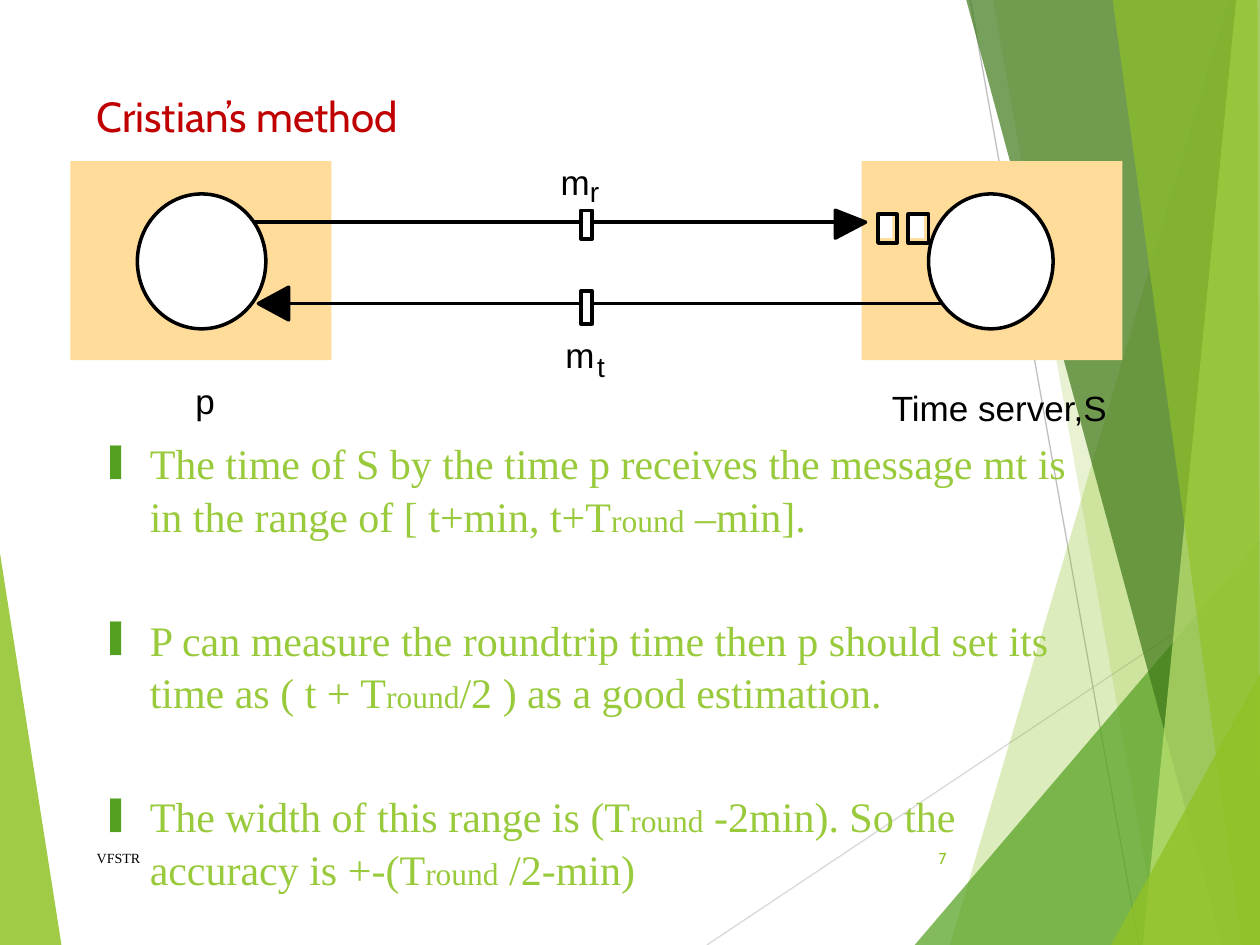
"""Build a slide on Cristian's method of clock synchronisation."""
from lxml.etree import SubElement
from pptx import Presentation
from pptx.dml.color import RGBColor
from pptx.enum.shapes import MSO_CONNECTOR, MSO_SHAPE
from pptx.enum.text import MSO_ANCHOR, PP_ALIGN
from pptx.oxml.ns import qn
from pptx.util import Cm, Pt

RECT, OVAL, LINE = MSO_SHAPE.RECTANGLE, MSO_SHAPE.OVAL, MSO_CONNECTOR.STRAIGHT
TOP, MIDDLE = MSO_ANCHOR.TOP, MSO_ANCHOR.MIDDLE
LEFT, RIGHT = PP_ALIGN.LEFT, PP_ALIGN.RIGHT

WIDE, HIGH = 25.4, 19.05
THEME = {
    "lime": "90C226", "green": "54A021", "dark": "3F7819", "pale": "C0E474",
    "ray": "D9D9D9", "beam": "BFBFBF", "sand": "FFDC99", "white": "FFFFFF",
    "ink": "000000", "red": "C00000", "text": "99CA3C",
    "head": ("Cabin", 24), "body": ("Times New Roman", 24),
    "foot": ("Times New Roman", 8), "page": ("Cabin", 9),
    "label": ("Arial", 20), "index": ("Arial", 16),
    "small": 18, "thin": 0.75, "thick": 2,
}

EDGE = [(WIDE, HIGH), (WIDE, 0)]
WEDGE = ("lime", 85, [(0, 11.15), (1.24, HIGH), (0, HIGH)])
RAYS = [
    ("ray", (14.25, HIGH), (WIDE, 11.61)),
    ("beam", (19.56, 0), (22.96, HIGH)),
]
FACETS = [
    ("lime", 30, [(24.77, 0), (19.15, HIGH), *EDGE]),
    ("lime", 20, [(20.02, 0), (23.37, HIGH), *EDGE]),
    ("green", 72, [(18.44, HIGH), (WIDE, 10.9), (WIDE, HIGH)]),
    ("dark", 70, [(19.48, 0), (24.64, HIGH), *EDGE]),
    ("pale", 70, [(24.92, 0), (23.04, HIGH), *EDGE]),
    ("lime", 65, [(22.43, 0), (25.04, HIGH), (WIDE, HIGH), (25.35, 0)]),
    ("lime", 80, [(22.4, HIGH), (WIDE, 13.59), (WIDE, HIGH)]),
]

HOSTS = [(1.42, 3.25, 5.26, 4.01), (17.37, 3.25, 5.26, 4.01)]
CLIENT = (2.77, 3.91, 2.59, 2.72)
SERVER = (18.72, 3.91, 2.51, 2.72)
ARROWS = [
    ((5.11, 4.48), (16.84, 4.48), [(17.45, 4.48), (16.84, 4.8), (16.84, 4.24)]),
    ((19.25, 6.12), (5.82, 6.12), [(5.21, 6.12), (5.82, 5.79), (5.82, 6.45)]),
]
QUEUE = [(17.7, 4.32, 0.38, 0.58), (18.31, 4.32, 0.41, 0.58)]
PACKETS = [(11.71, 4.24, 0.23, 0.58), (11.71, 5.87, 0.23, 0.66)]
LABELS = [
    ("m", "label", (11.3, 3.23, 0.58, 0.84)),
    ("r", "index", (11.89, 3.51, 0.18, 0.69)),
    ("m", "label", (11.4, 6.73, 0.58, 0.84)),
    ("t", "index", (12.04, 7.04, 0.15, 0.69)),
    ("p", "label", (3.94, 7.65, 0.41, 0.84)),
    ("Time server,S", "label", (17.98, 7.8, 4.39, 0.84)),
]
TITLE = ("Cristian’s method", "head", "red", (1.7, 1.7, 17.63, 3.66), TOP, LEFT)
FOOTER = ("VFSTR", "foot", "ink", (1.7, 16.79, 12.85, 1.02), MIDDLE, LEFT)
NUMBER = ("7", "page", "lime", (17.91, 16.79, 1.42, 1.02), MIDDLE, RIGHT)
BODY = (1.8, 8.66, 20.5, 9.25)
SMALL = "round"
POINTS = [
    ["The time of S by the time p receives the message mt is in the range of [ t+min, t+T",
     SMALL, " –min]."],
    ["P can measure the roundtrip time then p should set its time as ( t + T",
     SMALL, "/2 ) as a good estimation."],
    ["The width of this range is (T", SMALL, " -2min). So the accuracy is +-(T",
     SMALL, " /2-min)"],
]


def tint(name):
    return RGBColor.from_string(THEME[name])


def paint(shape, fill=None, line=None, alpha=100):
    shape.shadow.inherit = False
    if fill:
        shape.fill.solid()
        shape.fill.fore_color.rgb = tint(fill)
        if alpha < 100:
            color = next(shape._element.spPr.iter(qn("a:srgbClr")))
            SubElement(color, qn("a:alpha"), val=str(alpha * 1000))
    else:
        shape.fill.background()
    if line:
        shape.line.color.rgb = tint(line)
        shape.line.width = Pt(THEME["thick"])
    else:
        shape.line.fill.background()


def add_form(shapes, kind, box, fill=None, line=None):
    paint(shapes.add_shape(kind, *map(Cm, box)), fill, line)


def add_patch(shapes, points, fill, line=None, alpha=100):
    first, *rest = [(Cm(x), Cm(y)) for x, y in points]
    form = shapes.build_freeform(*first)
    form.add_line_segments(rest, close=True)
    paint(form.convert_to_shape(), fill, line, alpha)


def add_line(shapes, start, end, color, width):
    line = shapes.add_connector(LINE, *map(Cm, start + end))
    line.line.color.rgb = tint(color)
    line.line.width = Pt(THEME[width])
    SubElement(line._element.spPr, qn("a:effectLst"))


def add_frame(shapes, box, wrap=True, inset=(0.25, 0.13)):
    frame = shapes.add_textbox(*map(Cm, box)).text_frame
    frame.word_wrap = wrap
    frame.margin_left = frame.margin_right = Cm(inset[0])
    frame.margin_top = frame.margin_bottom = Cm(inset[1])
    return frame


def set_font(para, style, color):
    para.font.name, size = THEME[style]
    para.font.size = Pt(size)
    para.font.color.rgb = tint(color)


def add_text(shapes, text, style, color, box, anchor, align):
    frame = add_frame(shapes, box)
    frame.vertical_anchor = anchor
    para = frame.paragraphs[0]
    para.text, para.alignment = text, align
    set_font(para, style, color)


def add_bullet(para):
    props = para._p.get_or_add_pPr()
    props.set("marL", str(Cm(0.97)))
    props.set("indent", str(Cm(-0.97)))
    color = SubElement(props, qn("a:buClr"))
    SubElement(color, qn("a:srgbClr"), val=THEME["green"])
    SubElement(props, qn("a:buSzPct"), val="80000")
    SubElement(props, qn("a:buChar"), char="❚")


def add_body(shapes):
    frame = add_frame(shapes, BODY)
    for i, parts in enumerate(POINTS):
        para = frame.add_paragraph() if i else frame.paragraphs[0]
        add_bullet(para)
        para.line_spacing = 1.04
        if i:
            para.space_before = Pt(41)
        set_font(para, "body", "text")
        for part in parts:
            run = para.add_run()
            run.text = part
            if part == SMALL:
                run.font.size = Pt(THEME["small"])


def add_scene(shapes):
    for box in HOSTS:
        add_form(shapes, RECT, box, "sand")
    add_form(shapes, OVAL, CLIENT, "white", "ink")
    for start, end, head in ARROWS:
        add_line(shapes, start, end, "ink", "thick")
        add_patch(shapes, head, "ink", "ink")
    for x, y, w, h in QUEUE:
        add_form(shapes, RECT, (x, y, w - 0.09, h - 0.1), "white")
        add_form(shapes, RECT, (x, y, w, h), None, "ink")
    add_form(shapes, OVAL, SERVER, "white", "ink")
    for box in PACKETS:
        add_form(shapes, RECT, box, "white", "ink")
    for text, style, box in LABELS:
        frame = add_frame(shapes, box, False, (0, 0))
        frame.text = text
        set_font(frame.paragraphs[0], style, "ink")


def main():
    deck = Presentation()
    deck.slide_width, deck.slide_height = Cm(WIDE), Cm(HIGH)
    shapes = deck.slides.add_slide(deck.slide_layouts[6]).shapes
    for color, alpha, points in [WEDGE, *FACETS]:
        add_patch(shapes, points, color, alpha=alpha)
        if points is WEDGE[2]:
            for shade, start, end in RAYS:
                add_line(shapes, start, end, shade, "thin")
    add_text(shapes, *TITLE)
    add_text(shapes, *FOOTER)
    add_scene(shapes)
    add_body(shapes)
    add_text(shapes, *NUMBER)
    deck.save("out.pptx")


if __name__ == "__main__":
    main()
